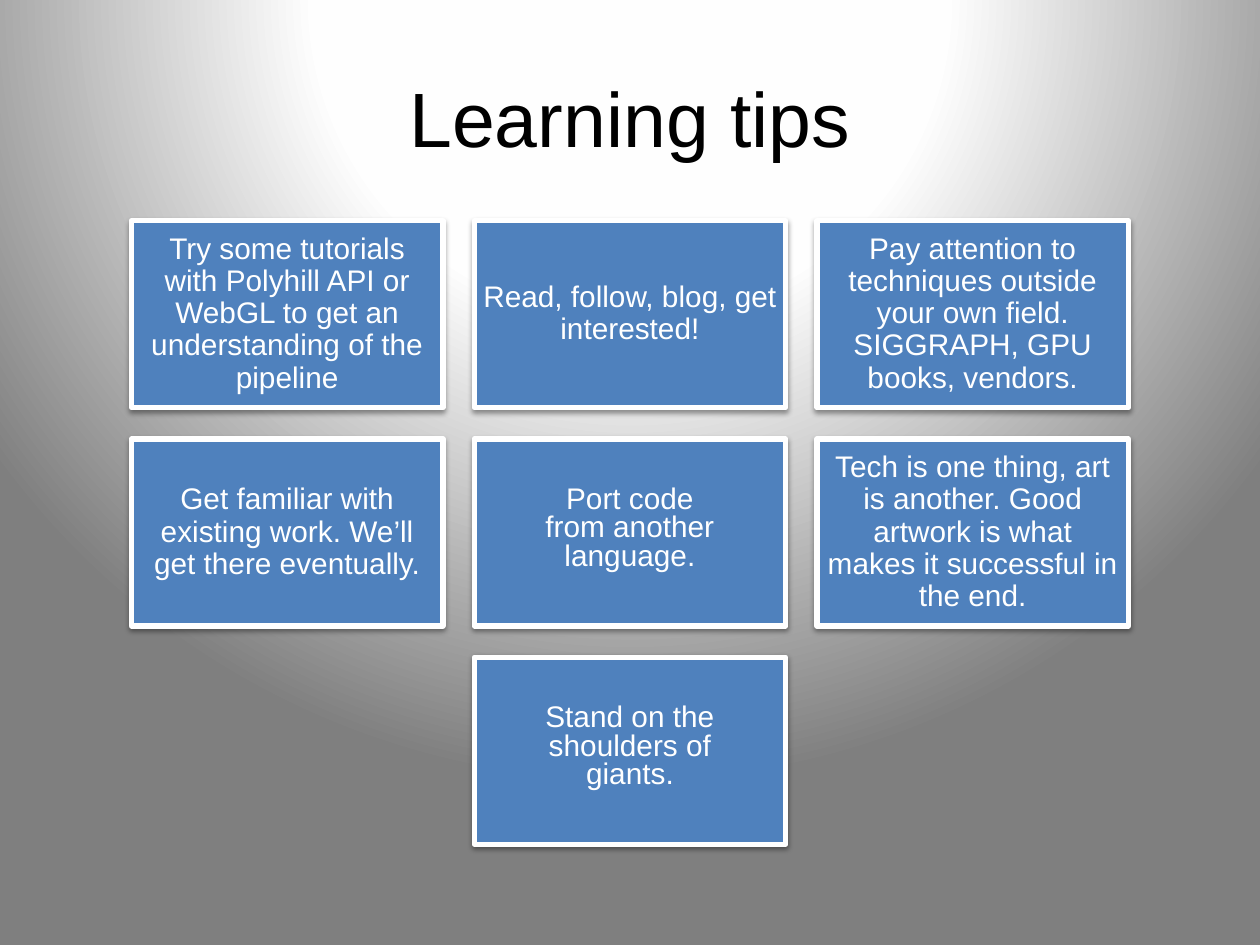
from pptx import Presentation
from pptx.dml.color import RGBColor
from pptx.enum.shapes import MSO_SHAPE
from pptx.enum.text import MSO_ANCHOR, PP_ALIGN
from pptx.oxml import parse_xml
from pptx.oxml.ns import nsdecls
from pptx.util import Cm, Pt

RECT = MSO_SHAPE.RECTANGLE
MIDDLE = MSO_ANCHOR.MIDDLE
CENTER = PP_ALIGN.CENTER

TITLE = "Learning tips"
ROWS = [
    [
        ["Try some tutorials with Polyhill API or WebGL to get an understanding of the pipeline"],
        ["Read, follow, blog, get interested!"],
        ["Pay attention to techniques outside your own field. SIGGRAPH, GPU books, vendors."],
    ],
    [
        ["Get familiar with existing work. We’ll get there eventually."],
        ["Port code", "from another", "language."],
        ["Tech is one thing, art is another. Good artwork is what makes it successful in the end."],
    ],
    [["Stand on the", "shoulders of", "giants."]],
]
COLORS = {"text": "000000", "card": "4F81BD", "edge": "FFFFFF", "shade": "000000"}
STOPS = [(0, "FFFFFF"), (40, "FEFEFE"), (100, "7F7F7F")]
FONT = "Arial"
PAGE_W, PAGE_H = 25.4, 19.05
CARD_W, CARD_H, GAP, TOP = 6.28, 3.77, 0.63, 4.45
INSET = 0.18


def color(name):
    """Return the named colour."""
    return RGBColor.from_string(COLORS[name])


def style(para, size, name):
    """Centre a paragraph and set its font."""
    para.alignment = CENTER
    para.font.name = FONT
    para.font.size = Pt(size)
    para.font.color.rgb = color(name)


def paint(slide):
    """Give the slide a radial backdrop."""
    slide.background.fill.solid()
    old = slide.element.xpath("p:cSld/p:bg/p:bgPr/a:solidFill")[0]
    stops = "".join(
        f'<a:gs pos="{pos * 1000}"><a:srgbClr val="{tone}"/></a:gs>' for pos, tone in STOPS
    )
    grad = parse_xml(
        f'<a:gradFill {nsdecls("a")} rotWithShape="1"><a:gsLst>{stops}</a:gsLst>'
        '<a:path path="circle"><a:fillToRect l="50000" t="-80000" r="50000" b="180000"/>'
        "</a:path></a:gradFill>"
    )
    old.getparent().replace(old, grad)


def shade(card):
    """Add a soft shadow below a card."""
    card.shadow.inherit = False
    card.element.spPr.xpath("a:effectLst")[0].append(parse_xml(
        f'<a:outerShdw {nsdecls("a")} blurRad="{Pt(3.1)}" dist="{Pt(1.6)}" dir="5400000"'
        f' rotWithShape="0"><a:srgbClr val="{COLORS["shade"]}"><a:alpha val="38000"/>'
        "</a:srgbClr></a:outerShdw>"
    ))


def add_card(slide, left, top, lines):
    """Draw one tip card."""
    card = slide.shapes.add_shape(RECT, Cm(left), Cm(top), Cm(CARD_W), Cm(CARD_H))
    card.fill.solid()
    card.fill.fore_color.rgb = color("card")
    card.line.color.rgb = color("edge")
    card.line.width = Pt(3)
    shade(card)
    frame = card.text_frame
    frame.word_wrap = True
    frame.vertical_anchor = MIDDLE
    frame.margin_left = frame.margin_right = Cm(INSET)
    frame.margin_top = frame.margin_bottom = Cm(INSET)
    frame.text = "\n".join(lines)
    for para in frame.paragraphs:
        style(para, 17, "edge")
        para.line_spacing = 0.5 if len(lines) > 1 else 0.9
        para.space_after = Pt(6)


def main():
    """Build the slide and save it."""
    deck = Presentation()
    deck.slide_width, deck.slide_height = Cm(PAGE_W), Cm(PAGE_H)
    slide = deck.slides.add_slide(deck.slide_layouts[5])
    paint(slide)
    title = slide.shapes.title
    title.left, title.top, title.width, title.height = Cm(1.27), Cm(0.76), Cm(22.86), Cm(3.18)
    title.text_frame.text = TITLE
    title.text_frame.vertical_anchor = MIDDLE
    style(title.text_frame.paragraphs[0], 44, "text")
    for row, cards in enumerate(ROWS):
        span = len(cards) * (CARD_W + GAP) - GAP
        for col, lines in enumerate(cards):
            left = (PAGE_W - span) / 2 + col * (CARD_W + GAP)
            add_card(slide, left, TOP + row * (CARD_H + GAP), lines)
    deck.save("out.pptx")


if __name__ == "__main__":
    main()
